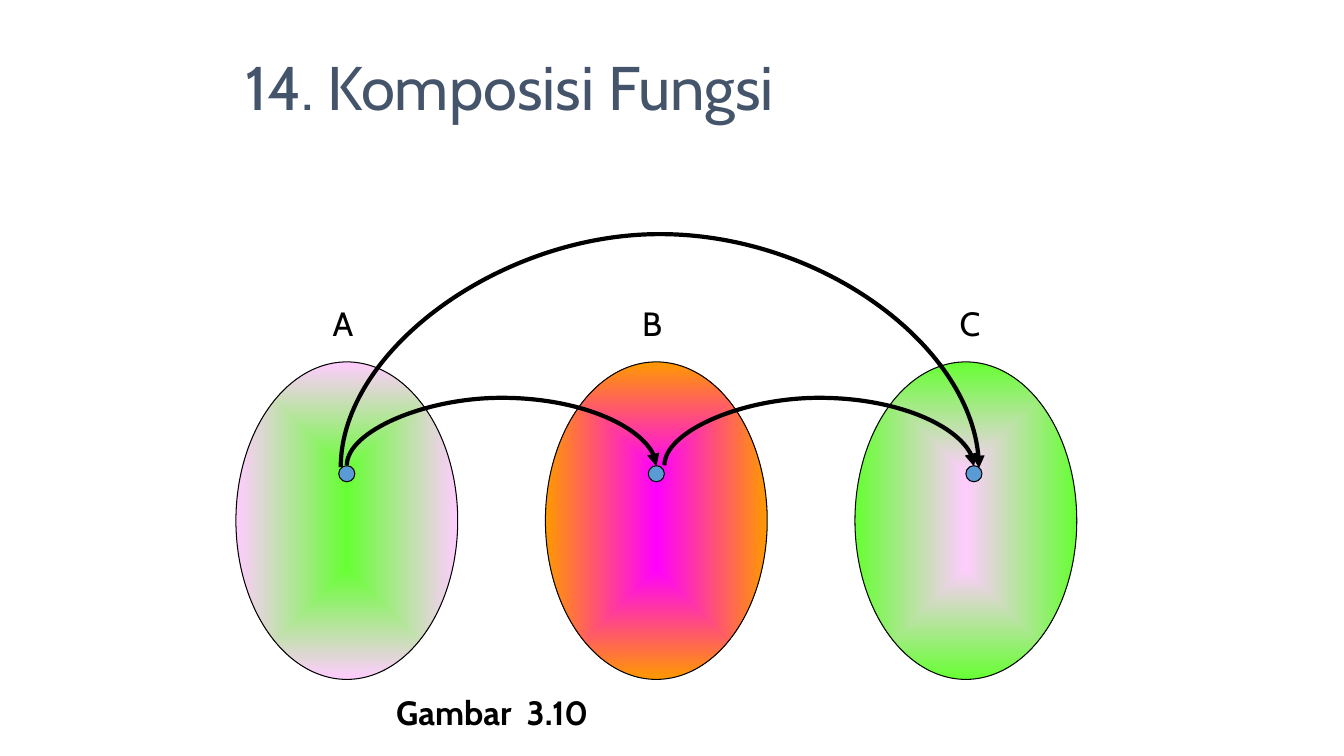
from lxml.etree import SubElement
from pptx import Presentation
from pptx.dml.color import RGBColor
from pptx.enum.shapes import MSO_CONNECTOR, MSO_SHAPE
from pptx.enum.text import MSO_ANCHOR
from pptx.oxml.ns import qn
from pptx.util import Inches, Pt


def rgb(value):
    return RGBColor.from_string(value)


class Diagram:
    font = "Cabin"
    ink = "000000"

    def __init__(self, slide):
        self.shapes = slide.shapes

    def text(self, words, box, size=24, color=ink, bold=False, wrap=False,
             anchor=MSO_ANCHOR.TOP):
        frame = self.shapes.add_textbox(*map(Inches, box)).text_frame
        frame.word_wrap = wrap
        frame.vertical_anchor = anchor
        paragraph = frame.paragraphs[0]
        paragraph.text = words
        font = paragraph.font
        font.name, font.size, font.bold = self.font, Pt(size), bold
        font.color.rgb = rgb(color)

    def oval(self, box):
        oval = self.shapes.add_shape(MSO_SHAPE.OVAL, *map(Inches, box))
        oval.shadow.inherit = False
        oval.line.color.rgb = rgb(self.ink)
        oval.line.width = Pt(0.75)
        return oval

    def domain(self, box, inner, outer):
        fill = self.oval(box).fill
        fill.gradient()
        for stop, color in zip(fill.gradient_stops, (inner, outer)):
            stop.color.rgb = rgb(color)
        # Shade outwards from the centre
        grad = fill._xPr.find(qn("a:gradFill"))
        grad.remove(grad.find(qn("a:lin")))
        shade = SubElement(grad, qn("a:path"), {"path": "shape"})
        SubElement(shade, qn("a:fillToRect"), dict.fromkeys("ltrb", "50000"))

    def dot(self, center_x, center_y, size=0.16):
        dot = self.oval((center_x - size / 2, center_y - size / 2, size, size))
        dot.fill.solid()
        dot.fill.fore_color.rgb = rgb("5B9BD5")

    def arc(self, start_x, end_x, y, rise, depth=0.01):
        """Arrow that bows upwards: a thin upright curve turned by 90 degrees."""
        middle, half = (start_x + end_x) / 2, (end_x - start_x) / 2
        ends = (middle - depth / 2, y + half, middle + depth / 2, y - half)
        arc = self.shapes.add_connector(MSO_CONNECTOR.CURVE, *map(Inches, ends))
        arc.line.color.rgb = rgb(self.ink)
        arc.line.width = Pt(3)
        SubElement(arc.line._get_or_add_ln(), qn("a:tailEnd"), {"type": "triangle"})
        properties = arc._element.spPr
        SubElement(properties, qn("a:effectLst"))
        properties.find(qn("a:xfrm")).set("rot", "5400000")
        adjustments = properties.find(qn("a:prstGeom")).find(qn("a:avLst"))
        bend = round(-rise / depth * 100000)
        SubElement(adjustments, qn("a:gd"), {"name": "adj1", "fmla": f"val {bend}"})


def main():
    deck = Presentation()
    deck.slide_width, deck.slide_height = Inches(13.33), Inches(7.5)
    diagram = Diagram(deck.slides.add_slide(deck.slide_layouts[6]))

    # Title
    diagram.text("14. Komposisi Fungsi", (2.34, 0.44, 6.07, 0.83), size=44,
                 color="44546A", wrap=True, anchor=MSO_ANCHOR.BOTTOM)

    # Sets with their element and letter
    sets = [
        ("A", 3.2, 3.44, "66FF33", "FFCCFF"),
        ("B", 6.27, 6.51, "FF00FF", "FF9900"),
        ("C", 9.42, 9.66, "FFCCFF", "66FF33"),
    ]
    for index, (letter, letter_x, element_x, inner, outer) in enumerate(sets):
        diagram.domain((2.34 + 3.07 * index, 3.59, 2.2, 3.15), inner, outer)
        diagram.dot(element_x, 4.7)
        diagram.text(letter, (letter_x, 2.96, 0.4, 0.5))

    # Mappings A to B, B to C, and the composition A to C
    diagram.arc(3.44, 6.51, 4.62, rise=0.68)
    diagram.arc(6.59, 9.66, 4.62, rise=0.68)
    diagram.arc(3.38, 9.71, 4.64, rise=2.35)

    # Caption
    diagram.text("Gambar  3.10", (3.83, 6.82, 2.45, 0.5), bold=True)

    deck.save("out.pptx")


if __name__ == "__main__":
    main()
